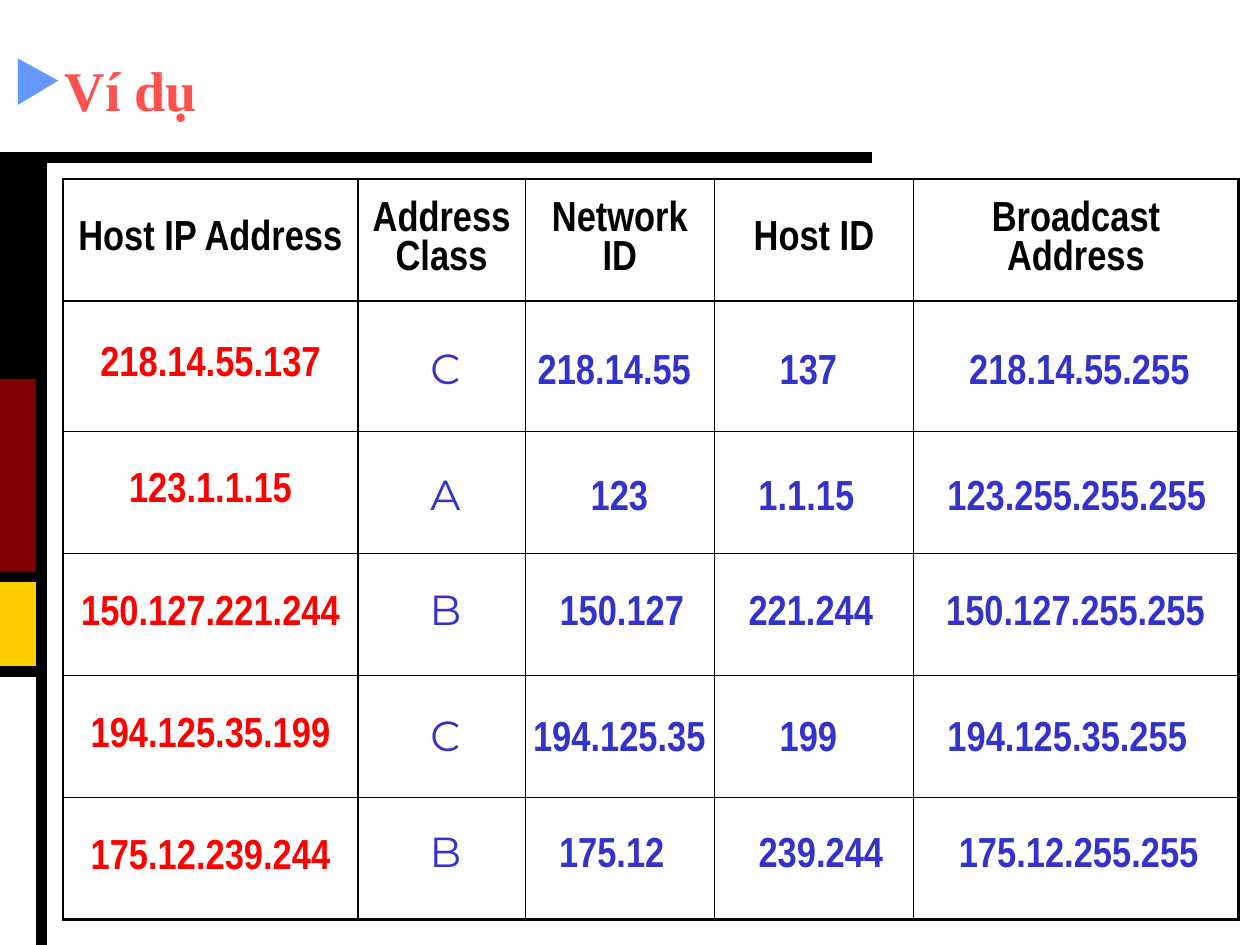
from dataclasses import dataclass
from lxml import etree
from pptx import Presentation
from pptx.dml.color import RGBColor
from pptx.enum.shapes import MSO_CONNECTOR, MSO_SHAPE
from pptx.enum.text import MSO_ANCHOR, MSO_AUTO_SIZE, PP_ALIGN
from pptx.oxml.ns import qn
from pptx.util import Inches, Pt

RECT = MSO_SHAPE.RECTANGLE
LINE = MSO_CONNECTOR.STRAIGHT
MID = MSO_ANCHOR.MIDDLE
LEFT, CENTER = PP_ALIGN.LEFT, PP_ALIGN.CENTER
GROW, FIXED = MSO_AUTO_SIZE.SHAPE_TO_FIT_TEXT, MSO_AUTO_SIZE.NONE


@dataclass(frozen=True)
class Theme:
    black: str = "000000"
    maroon: str = "800000"
    gold: str = "FFCC00"
    coral: str = "FF5050"
    sky: str = "6699FF"
    red: str = "FF0000"
    blue: str = "3333CC"
    serif: str = "Times New Roman"
    narrow: str = "Arial Narrow"
    round: str = "Montserrat"
    symbol: str = "OpenSymbol"
    head: int = 32
    body: int = 24
    bar: float = 6
    thick: float = 1.47
    thin: float = 0.45


T = Theme()

COLS = [2.34, 1.33, 1.5, 1.58, 2.58]
ROWS = [0.97, 1.03, 0.97, 0.97, 0.97, 0.97]
HEADS = ["Host IP Address", "Address Class", "Network ID", "Host ID",
         "Broadcast Address"]
HOSTS = ["218.14.55.137", "123.1.1.15", "150.127.221.244",
         "194.125.35.199", "175.12.239.244"]

CLASS_X, CLASS_W, LABEL_H = 3.33, 0.41, 0.5
SLACK = 0.02
LABELS = [
    (2.67, "C", [("218.14.55", 4.17, 1.41), ("137", 6.09, 0.65),
                 ("218.14.55.255", 7.59, 1.95)]),
    (3.67, "A", [("123", 4.59, 0.65), ("1.1.15", 5.92, 0.96),
                 ("123.255.255.255", 7.42, 2.25)]),
    (4.58, "B", [("150.127", 4.34, 1.19), ("221.244", 5.84, 1.19),
                 ("150.127.255.255", 7.41, 2.25)]),
    (5.58, "C", [("194.125.35", 4.08, 1.67), ("199", 6.09, 0.65),
                 ("194.125.35.255", 7.42, 2.1)]),
    (6.5, "B", [("175.12", 4.34, 1.03), ("239.244", 5.92, 1.19),
                ("175.12.255.255", 7.51, 2.1)]),
]


def rgb(code):
    return RGBColor.from_string(code)


def style(para, face, size, color, bold=True, align=CENTER):
    para.alignment = align
    for run in para.runs:
        font = run.font
        font.name, font.size, font.bold = face, Pt(size), bold
        font.color.rgb = rgb(color)


def add_block(slide, top, height, color):
    block = slide.shapes.add_shape(
        RECT, 0, Inches(top), Inches(0.33), Inches(height))
    block.shadow.inherit = False
    block.fill.solid()
    block.fill.fore_color.rgb = rgb(color)
    block.line.color.rgb = rgb(color)
    block.line.width = Pt(0.25)


def add_bar(slide, *ends):
    bar = slide.shapes.add_connector(LINE, *map(Inches, ends))
    bar.line.color.rgb = rgb(T.black)
    bar.line.width = Pt(T.bar)
    etree.SubElement(bar._element.spPr, qn("a:effectLst"))


def add_frame(slide):
    add_block(slide, 3, 1.58, T.maroon)
    add_block(slide, 4.58, 0.75, T.gold)
    add_bar(slide, 0, 1.25, 6.92, 1.25)
    add_bar(slide, 0.33, 1.25, 0.33, 7.5)
    add_block(slide, 1.25, 1.75, T.black)
    for y in (4.58, 5.33):
        add_bar(slide, 0, y, 0.33, y)


def add_bullet(para, mark, color):
    props = para._p.get_or_add_pPr()
    props.set("marL", "0")
    props.set("indent", "0")
    tint = etree.SubElement(props, qn("a:buClr"))
    etree.SubElement(tint, qn("a:srgbClr"), val=color)
    etree.SubElement(props, qn("a:buFont"), typeface=T.symbol)
    etree.SubElement(props, qn("a:buChar"), char=mark)


def set_title(slide, text):
    title = slide.shapes.title
    title.left, title.top = Inches(0), Inches(0.33)
    title.width, title.height = Inches(10), Inches(0.75)
    frame = title.text_frame
    frame.text = text
    frame.vertical_anchor = MID
    frame.auto_size = FIXED
    para = frame.paragraphs[0]
    add_bullet(para, "▶", T.sky)
    style(para, T.serif, T.head, T.coral, align=LEFT)


def set_edges(cell, row, col):
    heavy_x = {0, 1, len(COLS)}
    heavy_y = {0, 1, len(ROWS)}
    edges = {"a:lnL": col in heavy_x, "a:lnR": col + 1 in heavy_x,
             "a:lnT": row in heavy_y, "a:lnB": row + 1 in heavy_y}
    props = cell._tc.get_or_add_tcPr()
    for tag, heavy in edges.items():
        width = Pt(T.thick if heavy else T.thin)
        edge = etree.SubElement(props, qn(tag), w=str(width))
        fill = etree.SubElement(edge, qn("a:solidFill"))
        etree.SubElement(fill, qn("a:srgbClr"), val=T.black)


def add_grid(slide):
    table = slide.shapes.add_table(
        len(ROWS), len(COLS), Inches(0.5), Inches(1.42),
        Inches(sum(COLS)), Inches(sum(ROWS))).table
    table.first_row = table.horz_banding = False
    for col, width in zip(table.columns, COLS):
        col.width = Inches(width)
    for row, height in zip(table.rows, ROWS):
        row.height = Inches(height)
    texts = {(0, x): (text, T.black) for x, text in enumerate(HEADS)}
    texts |= {(y, 0): (text, T.red) for y, text in enumerate(HOSTS, 1)}
    for y in range(len(ROWS)):
        for x in range(len(COLS)):
            cell = table.cell(y, x)
            set_edges(cell, y, x)
            cell.fill.background()
            cell.vertical_anchor = MID
            if (y, x) in texts:
                text, color = texts[y, x]
                cell.text_frame.text = text
                style(cell.text_frame.paragraphs[0], T.narrow, T.body, color)


def add_label(slide, text, left, top, width, face=T.narrow, bold=True):
    box = slide.shapes.add_textbox(
        Inches(left - SLACK), Inches(top),
        Inches(width + 2 * SLACK), Inches(LABEL_H))
    frame = box.text_frame
    frame.text = text
    frame.word_wrap = False
    frame.auto_size = GROW
    frame.vertical_anchor = MID
    style(frame.paragraphs[0], face, T.body, T.blue, bold)


def main():
    deck = Presentation()
    deck.slide_width, deck.slide_height = Inches(10), Inches(7.5)
    slide = deck.slides.add_slide(deck.slide_layouts[5])
    add_frame(slide)
    set_title(slide, "Ví dụ")
    add_grid(slide)
    for top, group, parts in LABELS:
        add_label(slide, group, CLASS_X, top, CLASS_W, T.round, False)
        for text, left, width in parts:
            add_label(slide, text, left, top, width)
    deck.save("out.pptx")


if __name__ == "__main__":
    main()
